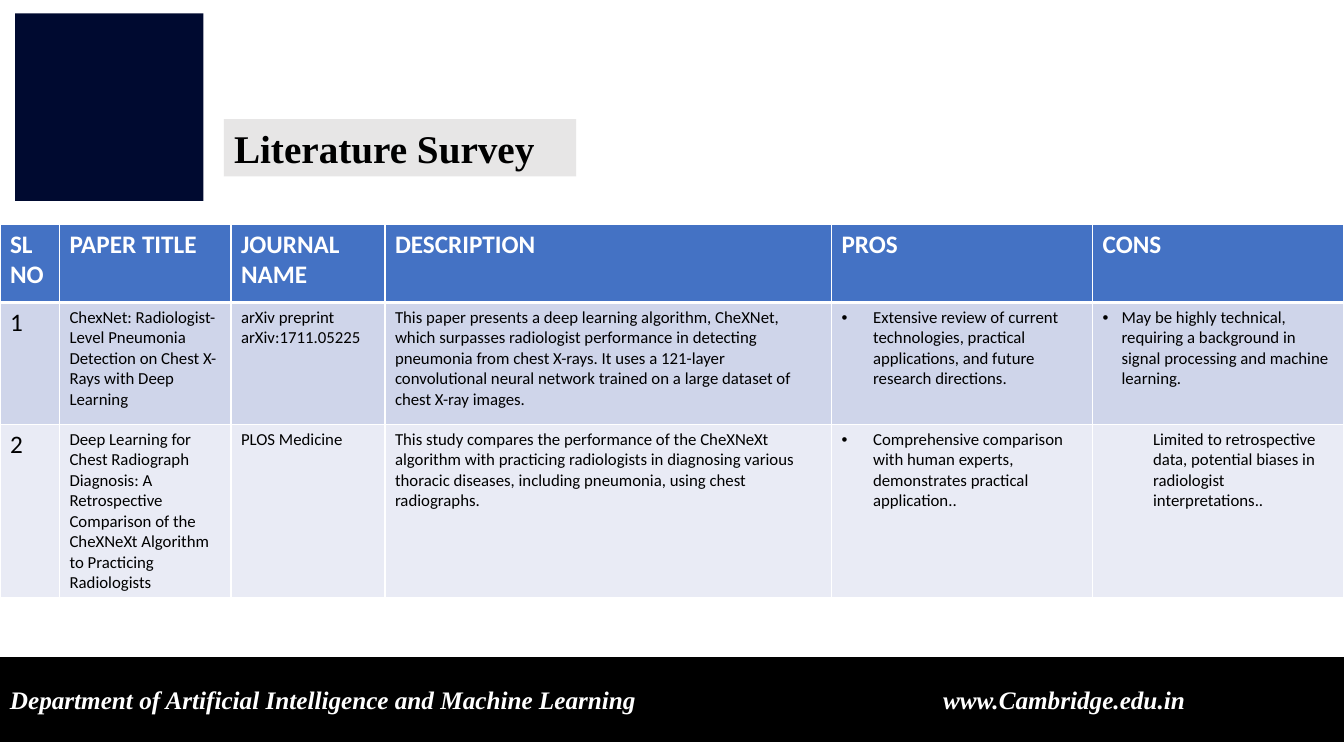
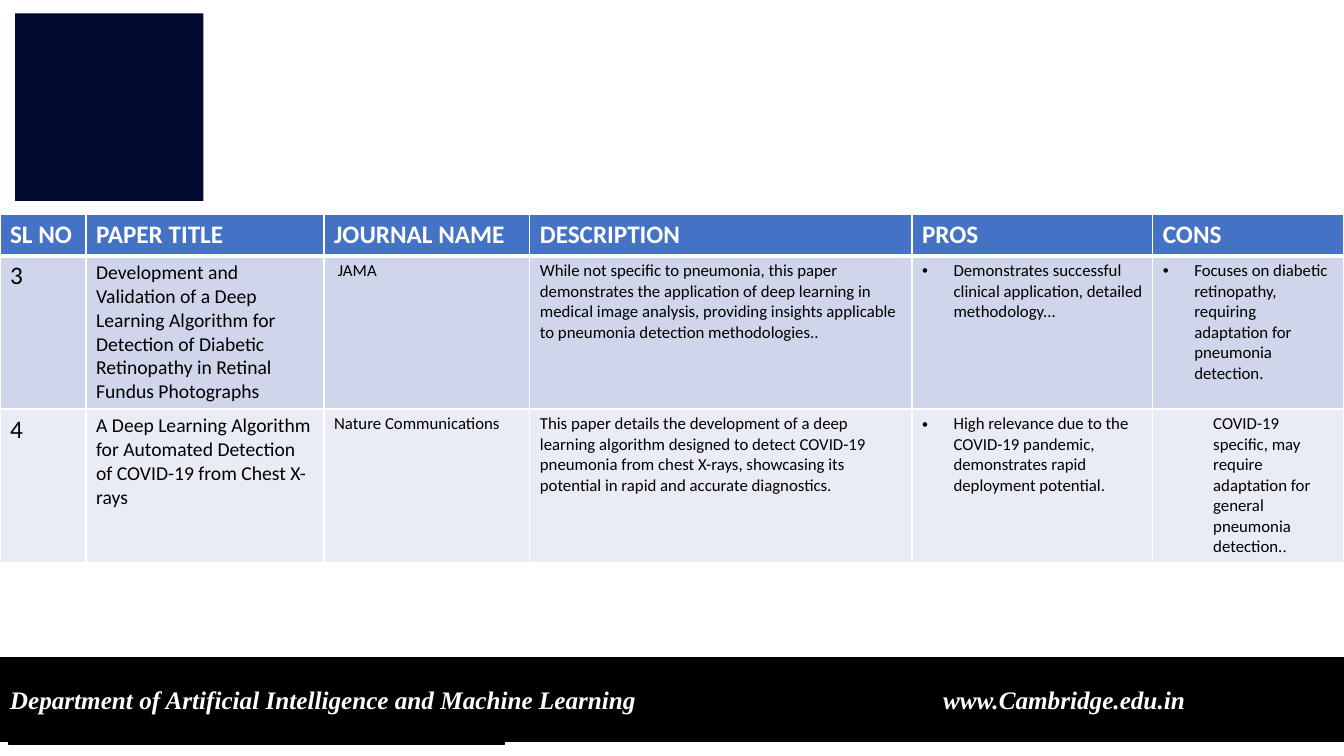
from lxml import etree
from pptx import Presentation
from pptx.dml.color import RGBColor
from pptx.enum.shapes import MSO_SHAPE
from pptx.enum.text import MSO_ANCHOR, MSO_AUTO_SIZE, PP_ALIGN
from pptx.oxml.ns import qn
from pptx.util import Pt

RECT = MSO_SHAPE.RECTANGLE
TOP, MIDDLE = MSO_ANCHOR.TOP, MSO_ANCHOR.MIDDLE
LEFT = PP_ALIGN.LEFT
NO_AUTOSIZE = MSO_AUTO_SIZE.NONE
TITLE_ONLY, BLANK = 5, 6
WIDTH, HEIGHT = 960, 540
SANS, SERIF = "Calibri", "Times New Roman"

COLORS = {
    "navy": "000A30", "black": "000000", "white": "FFFFFF", "grey": "E7E6E6",
    "header": "4472C4", "odd": "CFD5EA", "even": "E9EBF5",
}
HEADINGS = ("SL NO", "PAPER TITLE", "JOURNAL NAME", "DESCRIPTION", "PROS", "CONS")
BULLET_INDENT, SMALL_INDENT, LEVEL_INDENT = 22.5, 13.5, 36


def color(name):
    return RGBColor.from_string(COLORS[name])


class Deck:
    """Holds the shared style and the current slide."""

    def __init__(self):
        self.prs = Presentation()
        self.prs.slide_width, self.prs.slide_height = Pt(WIDTH), Pt(HEIGHT)
        self.s = None

    def slide(self, title=None):
        layout = TITLE_ONLY if title else BLANK
        self.s = self.prs.slides.add_slide(self.prs.slide_layouts[layout])
        self.box(10.8, 9.5, 134.5, 134, "navy")
        self.box(5, 471.5, 955, 58.5, "navy")
        if title:
            self.title(title)

    def run(self, p, text, size, font=SANS, ink="black", bold=False, italic=False):
        r = p.add_run()
        r.text = text
        r.font.name, r.font.size = font, Pt(size)
        r.font.bold, r.font.italic = bold, italic
        r.font.color.rgb = color(ink)

    def title(self, text):
        sp = self.s.shapes.title
        sp.left, sp.top, sp.width, sp.height = Pt(160), Pt(85), Pt(251.5), Pt(41)
        sp.fill.solid()
        sp.fill.fore_color.rgb = color("grey")
        tf = sp.text_frame
        tf.word_wrap, tf.auto_size, tf.vertical_anchor = True, NO_AUTOSIZE, TOP
        p = tf.paragraphs[0]
        p.alignment = LEFT
        self.run(p, text, 28, SERIF, bold=True)

    def box(self, x, y, w, h, fill, line=None):
        sp = self.s.shapes.add_shape(RECT, Pt(x), Pt(y), Pt(w), Pt(h))
        sp.shadow.inherit = False
        sp.fill.solid()
        sp.fill.fore_color.rgb = color(fill)
        if line:
            sp.line.color.rgb = color(line)
            sp.line.width = Pt(1)
        else:
            sp.line.fill.background()
        return sp

    def footer(self):
        tf = self.box(0, 469.5, WIDTH, 60, "black", "black").text_frame
        tf.word_wrap, tf.vertical_anchor = True, MIDDLE
        p = tf.paragraphs[0]
        p.alignment = LEFT
        # Tab stop that places the web address
        tabs = etree.SubElement(p._p.get_or_add_pPr(), qn("a:tabLst"))
        etree.SubElement(tabs, qn("a:tab"), pos=str(Pt(666.5)), algn="l")
        for text in ("Department of Artificial Intelligence and Machine Learning",
                     "\twww.Cambridge.edu.in"):
            self.run(p, text, 18, SERIF, "white", bold=True, italic=True)

    def borders(self, cell, top, bottom):
        tcPr = cell._tc.get_or_add_tcPr()
        for side, width in (("L", 1), ("R", 1), ("T", top), ("B", bottom)):
            ln = etree.SubElement(tcPr, qn("a:ln" + side), w=str(Pt(width)))
            fill = etree.SubElement(ln, qn("a:solidFill"))
            etree.SubElement(fill, qn("a:srgbClr"), val=COLORS["white"])

    def cell(self, cell, fill, runs, top=1, bottom=1, indent=0, bullet=False, **style):
        self.borders(cell, top, bottom)
        cell.fill.solid()
        cell.fill.fore_color.rgb = color(fill)
        p = cell.text_frame.paragraphs[0]
        if indent:
            pPr = p._p.get_or_add_pPr()
            pPr.set("marL", str(Pt(indent)))
            pPr.set("indent", str(-Pt(indent) if bullet else 0))
            if bullet:
                etree.SubElement(pPr, qn("a:buFont"), typeface="Arial")
                etree.SubElement(pPr, qn("a:buChar"), char="•")
        for text, font in runs:
            self.run(p, text, font=font, **style)

    def survey(self, top, widths, heights, papers, title_size=12):
        frame = self.s.shapes.add_table(len(heights), len(widths), 0, Pt(top),
                                        Pt(sum(widths)), Pt(sum(heights)))
        table = frame.table
        table.horz_banding = False
        for column, width in zip(table.columns, widths):
            column.width = Pt(width)
        for row, height in zip(table.rows, heights):
            row.height = Pt(height)
        # Header row
        for c, text in enumerate(HEADINGS):
            self.cell(table.cell(0, c), "header", [(text, SANS)], bottom=3,
                      size=18, ink="white", bold=True)
        # One row per paper
        sizes = (18, title_size, 12, 12, 12, 12)
        for i, (*texts, cons, indent, bullet) in enumerate(papers, 1):
            fill = "odd" if i % 2 else "even"
            cells = [[(text, SANS)] for text in texts] + [cons]
            layouts = [(0, False)] * 4 + [(BULLET_INDENT, True), (indent, bullet)]
            for c, (runs, (inset, mark)) in enumerate(zip(cells, layouts)):
                self.cell(table.cell(i, c), fill, runs, top=3 if i == 1 else 1,
                          indent=inset, bullet=mark, size=sizes[c])


def main():
    deck = Deck()

    # Papers 1 and 2
    deck.slide("Literature Survey")
    deck.survey(160, (42.5, 122.5, 110, 319, 186.5, 179.5), (56, 87, 121), [
        ("1",
         "ChexNet: Radiologist-Level Pneumonia Detection on Chest X-Rays with Deep Learning",
         "arXiv preprint arXiv:1711.05225",
         "This paper presents a deep learning algorithm, CheXNet, which surpasses "
         "radiologist performance in detecting pneumonia from chest X-rays. It uses a "
         "121-layer convolutional neural network trained on a large dataset of chest "
         "X-ray images.",
         "Extensive review of current technologies, practical applications, and future "
         "research directions.",
         [("May be highly technical, requiring a background in signal processing and "
           "machine learning.", SANS)], SMALL_INDENT, True),
        ("2",
         "Deep Learning for Chest Radiograph Diagnosis: A Retrospective Comparison of "
         "the CheXNeXt Algorithm to Practicing Radiologists",
         "PLOS Medicine",
         "This study compares the performance of the CheXNeXt algorithm with practicing "
         "radiologists in diagnosing various thoracic diseases, including pneumonia, "
         "using chest radiographs.",
         "Comprehensive comparison with human experts, demonstrates practical "
         "application..",
         [("Limited to retrospective data, potential biases in radiologist "
           "interpretations..", SANS)], LEVEL_INDENT, False),
    ])
    deck.footer()

    # Papers 3 and 4
    deck.slide()
    deck.survey(153.5, (61.5, 170, 147, 273, 172, 136.5), (29, 107, 107), [
        ("3",
         "Development and Validation of a Deep Learning Algorithm for Detection of "
         "Diabetic Retinopathy in Retinal Fundus Photographs",
         " JAMA",
         "While not specific to pneumonia, this paper demonstrates the application of "
         "deep learning in medical image analysis, providing insights applicable to "
         "pneumonia detection methodologies..",
         "Demonstrates successful clinical application, detailed methodology...",
         [("Focuses on diabetic retinopathy, requiring adaptation for pneumonia "
           "detection.", SANS)], BULLET_INDENT, True),
        ("4",
         "A Deep Learning Algorithm for Automated Detection of COVID-19 from Chest X-rays",
         "Nature Communications",
         "This paper details the development of a deep learning algorithm designed to "
         "detect COVID-19 pneumonia from chest X-rays, showcasing its potential in rapid "
         "and accurate diagnostics.",
         "High relevance due to the COVID-19 pandemic, demonstrates rapid deployment "
         "potential.",
         [("COVID-19 specific, may require adaptation for general pneumonia detection.",
           SANS), (".", SERIF)], LEVEL_INDENT, False),
    ], title_size=14)
    deck.box(6.5, 471.5, 353.5, 60.5, "black", "black")
    deck.footer()

    deck.prs.save("out.pptx")


if __name__ == "__main__":
    main()
